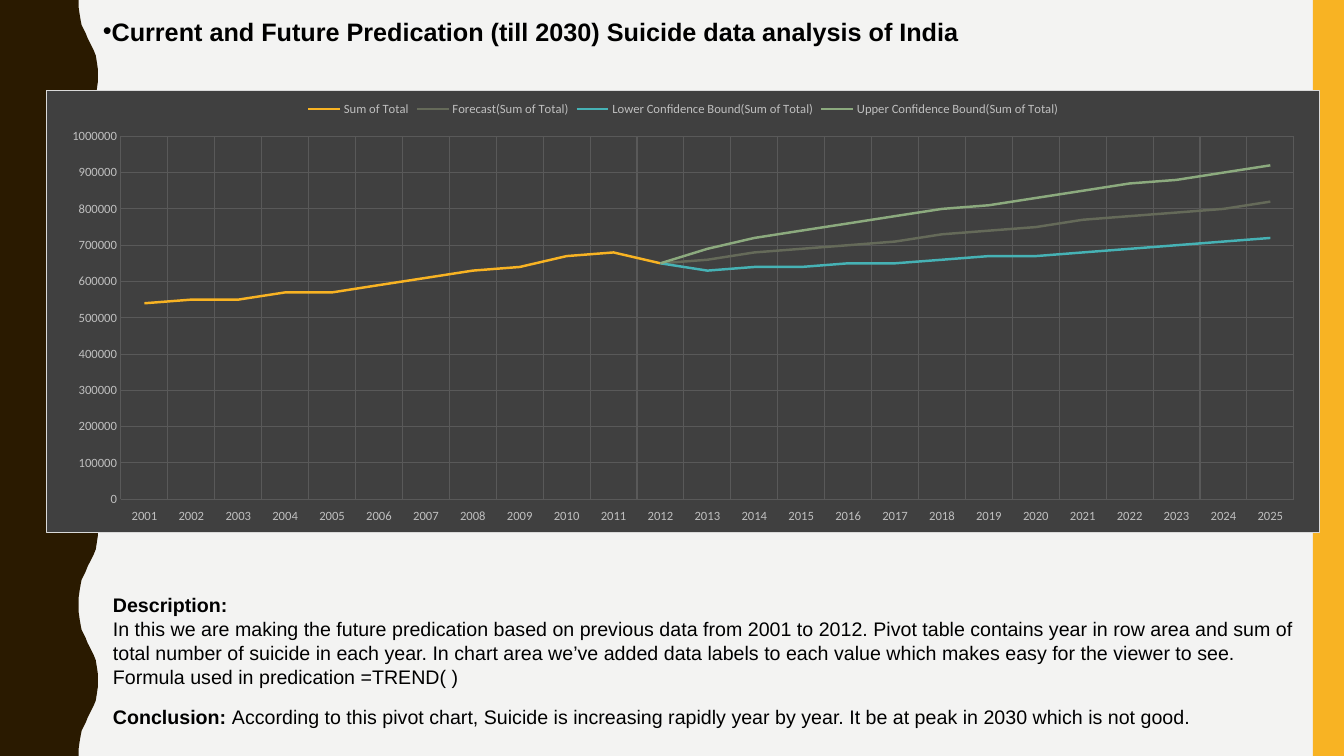
from pptx import Presentation
from pptx.chart.data import CategoryChartData
from pptx.dml.color import RGBColor
from pptx.enum.chart import XL_CHART_TYPE, XL_LEGEND_POSITION, XL_TICK_LABEL_POSITION, XL_TICK_MARK
from pptx.enum.shapes import MSO_SHAPE
from pptx.enum.text import MSO_ANCHOR
from pptx.oxml import parse_xml
from pptx.oxml.ns import nsdecls, qn
from pptx.util import Inches, Pt

PAPER = RGBColor(0xF3, 0xF3, 0xF2)
BROWN = RGBColor(0x2A, 0x1A, 0x00)
AMBER = RGBColor(0xF8, 0xB3, 0x23)
OLIVE = RGBColor(0x65, 0x6A, 0x59)
TEAL = RGBColor(0x46, 0xB2, 0xB5)
GREEN = RGBColor(0x8C, 0xAA, 0x7E)
CHARCOAL = RGBColor(0x40, 0x40, 0x40)
GRID = RGBColor(0x59, 0x59, 0x59)
LABEL = RGBColor(0xBF, 0xBF, 0xBF)
BORDER = RGBColor(0xD9, 0xD9, 0xD9)
BLACK = RGBColor(0, 0, 0)

# Content
TITLE = "Current and Future Predication (till 2030) Suicide data analysis of India"
# Each paragraph: space before in points, then (text, bold) runs
NOTES = [
    (0, [("Description:", True)]),
    (0, [("In this we are making the future predication based on previous data from 2001 to 2012. "
          "Pivot table contains year in row area and sum of total number of suicide in each year. "
          "In chart area we’ve added data labels to each value which makes easy for the viewer to see.", False)]),
    (0, [("Formula used in predication =TREND( )", False)]),
    (11, [("Conclusion: ", True),
          ("According to this pivot chart, Suicide is increasing rapidly year by year. "
           "It be at peak in 2030 which is not good.", False)]),
]
YEARS = range(2001, 2026)
# Name, colour, first year, values in units of VALUE_UNIT
VALUE_UNIT = 10000
SERIES = [
    ("Sum of Total", AMBER, 2001,
     [54, 55, 55, 57, 57, 59, 61, 63, 64, 67, 68, 65]),
    ("Forecast(Sum of Total)", OLIVE, 2012,
     [65, 66, 68, 69, 70, 71, 73, 74, 75, 77, 78, 79, 80, 82]),
    ("Lower Confidence Bound(Sum of Total)", TEAL, 2012,
     [65, 63, 64, 64, 65, 65, 66, 67, 67, 68, 69, 70, 71, 72]),
    ("Upper Confidence Bound(Sum of Total)", GREEN, 2012,
     [65, 69, 72, 74, 76, 78, 80, 81, 83, 85, 87, 88, 90, 92]),
]
# Half a wave of the left edge in hundredths of an inch, mirrored and repeated
HALF_WAVE = [(78, 0), (78, 7), (79, 14), (80, 20), (81, 25), (83, 29), (85, 33), (87, 38),
             (89, 42), (91, 46), (93, 50), (95, 55), (96, 61), (97, 68), (97, 75)]
WAVE_HEIGHT, WAVES = 150, 5


def paint(sp, color):
    sp.shadow.inherit = False
    sp.fill.solid()
    sp.fill.fore_color.rgb = color
    sp.line.fill.background()


def add_text_box(slide, box, insets):
    tf = slide.shapes.add_textbox(*map(Inches, box)).text_frame
    tf.word_wrap = True
    tf.vertical_anchor = MSO_ANCHOR.TOP
    tf.margin_left, tf.margin_top, tf.margin_right, tf.margin_bottom = map(Inches, insets)
    return tf


def set_font(font, name, size, color):
    font.name, font.size = name, Pt(size)
    font.color.rgb = color


prs = Presentation()
prs.slide_width, prs.slide_height = Inches(13.33), Inches(7.5)
s = prs.slides.add_slide(prs.slide_layouts[6])
s.background.fill.solid()
s.background.fill.fore_color.rgb = PAPER

# Wavy left band and plain right band
wave = HALF_WAVE + [(x, WAVE_HEIGHT - y) for x, y in HALF_WAVE[-2::-1]]
edge = [(x, y + i * WAVE_HEIGHT) for i in range(WAVES) for x, y in wave]
builder = s.shapes.build_freeform(0, 0, scale=Inches(0.01))
builder.add_line_segments(edge + [(0, WAVES * WAVE_HEIGHT)], close=True)
paint(builder.convert_to_shape(), BROWN)
paint(s.shapes.add_shape(MSO_SHAPE.RECTANGLE, Inches(13.02), 0, Inches(0.31), Inches(7.5)), AMBER)

# Title with bullet
p = add_text_box(s, (0.77, 0.11, 10.2, 0.69), (0.25, 0.05, 0.87, 0)).paragraphs[0]
p.text = TITLE
set_font(p.font, "Arial", 18, BLACK)
p.font.bold = True
pPr = p._p.get_or_add_pPr()
pPr.set("marL", "0")
pPr.set("indent", "0")
pPr.insert(0, parse_xml(f'<a:buFont {nsdecls("a")} typeface="Arial"/>'))
pPr.insert(1, parse_xml(f'<a:buChar {nsdecls("a")} char="•"/>'))

# Description and conclusion
tf = add_text_box(s, (1.05, 5.69, 12.04, 1.53), (0.07, 0.19, 0.1, 0))
for i, (space, runs) in enumerate(NOTES):
    p = tf.add_paragraph() if i else tf.paragraphs[0]
    p.space_before = Pt(space)
    p.line_spacing = 1.02
    set_font(p.font, "Arial", 14, BLACK)
    for text, bold in runs:
        r = p.add_run()
        r.text = text
        r.font.bold = bold

# Line chart
data = CategoryChartData(number_format="General")
data.categories = [str(year) for year in YEARS]
for name, _, first, amounts in SERIES:
    values = {first + i: v * VALUE_UNIT for i, v in enumerate(amounts)}
    data.add_series(name, [values.get(year) for year in YEARS])
chart = s.shapes.add_chart(XL_CHART_TYPE.LINE, Inches(0.46), Inches(0.89),
                           Inches(12.63), Inches(4.4), data).chart
set_font(chart.font, "Calibri", 10, BLACK)
chart.has_title = False
chart.has_legend = True
chart.legend.position = XL_LEGEND_POSITION.TOP
chart.legend.include_in_layout = False
set_font(chart.legend.font, "Calibri", 9, LABEL)

for axis in (chart.category_axis, chart.value_axis):
    axis.major_tick_mark = axis.minor_tick_mark = XL_TICK_MARK.NONE
    axis.format.line.fill.background()
    axis.has_major_gridlines = True
    axis.major_gridlines.format.line.color.rgb = GRID
    axis.major_gridlines.format.line.width = Pt(0.75)
    set_font(axis.tick_labels.font, "Calibri", 9, LABEL)
chart.category_axis.tick_label_position = XL_TICK_LABEL_POSITION.LOW
chart.value_axis.minimum_scale, chart.value_axis.maximum_scale = 0, 1000000
chart.value_axis.major_unit = 100000

chart.plots[0].vary_by_categories = False
for line, (_, color, _, _) in zip(chart.plots[0].series, SERIES):
    line.smooth = False
    line.format.line.color.rgb = color
    line.format.line.width = Pt(1.75)

# Chart background and border
frame = parse_xml(
    f'<c:spPr {nsdecls("c", "a")}><a:solidFill><a:srgbClr val="{CHARCOAL}"/></a:solidFill>'
    f'<a:ln w="{Pt(0.75)}"><a:solidFill><a:srgbClr val="{BORDER}"/></a:solidFill></a:ln></c:spPr>')
chart._chartSpace.find(qn("c:chart")).addnext(frame)

prs.save("out.pptx")
